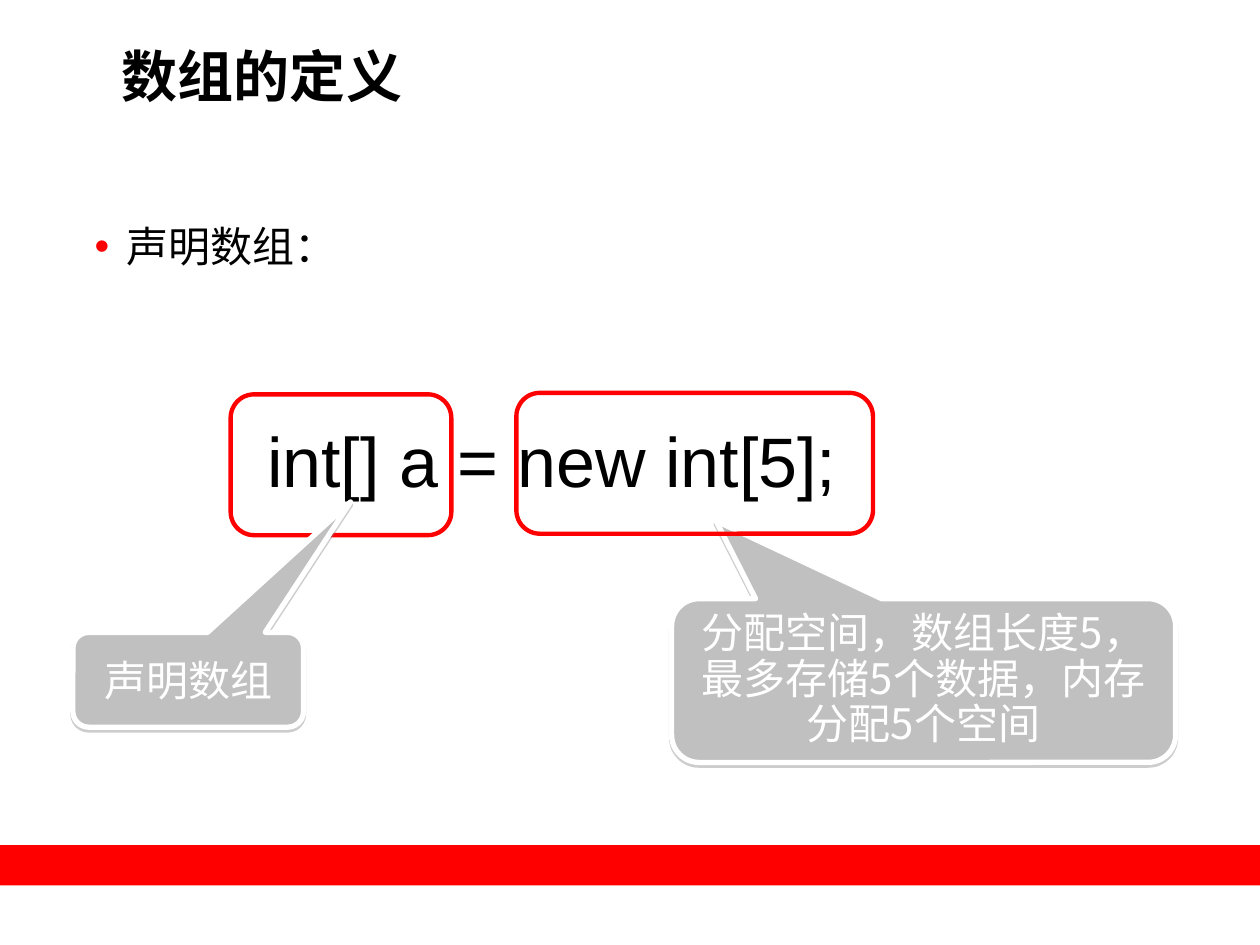
from lxml.etree import SubElement
from pptx import Presentation
from pptx.dml.color import RGBColor
from pptx.enum.shapes import MSO_SHAPE as Preset
from pptx.enum.text import MSO_ANCHOR as Anchor, PP_ALIGN as Align
from pptx.oxml.ns import qn
from pptx.util import Cm, Pt

RED = RGBColor(0xFF, 0x00, 0x00)
BULLET_RED = RGBColor(0xFD, 0x00, 0x00)
BLACK = RGBColor(0x00, 0x00, 0x00)
WHITE = RGBColor(0xFF, 0xFF, 0xFF)
SILVER = RGBColor(0xC0, 0xC0, 0xC0)
SHADOW_GRAY = RGBColor(0x80, 0x80, 0x80)
LATIN, CHINESE = "Arial", "Noto Sans CJK SC"
CORNER = 0.167

FOOTER_BAR = (0, 17.04, 25.4, 0.81)
TITLE = ("数组的定义", (2.46, 0.84, 21.06, 2.62))
TOPIC = ("声明数组：", (1.91, 4.45, 20.93, 12.07))
CODE = ("int[] a = new int[5];", (4.24, 7.95, 13.77, 2.84))
DECLARATION_FRAME = (4.65, 7.95, 4.45, 2.84)
ALLOCATION_FRAME = (10.41, 7.92, 7.19, 2.84)
CALLOUTS = [
    ("声明数组", (1.47, 12.75, 4.65, 1.91), (0.704, -1.878), None),
    ("分配空间，数组长度5，最多存储5个数据，内存分配5个空间",
     (13.54, 12.07, 10.16, 3.3), (-0.412, -0.976), 0.9),
]


def write(holder, text, *, size, font=LATIN, color=BLACK, bold=False, align=Align.LEFT,
          anchor=Anchor.TOP, inset=(0, 0), wrap=True, line=None, before=None, bullet=None):
    frame = holder.text_frame
    frame.word_wrap = wrap
    frame.vertical_anchor = anchor
    frame.margin_left = frame.margin_right = Cm(inset[0])
    frame.margin_top = frame.margin_bottom = Cm(inset[1])
    paragraph = frame.paragraphs[0]
    paragraph.alignment = align
    if line:
        paragraph.line_spacing = line
    if before:
        paragraph.space_before = Pt(before)
    run = paragraph.add_run()
    run.text = text
    run.font.size, run.font.name, run.font.bold = Pt(size), font, bold
    run.font.color.rgb = color
    SubElement(run.font._element, qn("a:ea"), typeface=CHINESE)
    if bullet:
        properties = paragraph._p.get_or_add_pPr()
        properties.set("marL", str(Cm(0.64)))
        properties.set("indent", str(-Cm(0.64)))
        tint = SubElement(properties, qn("a:buClr"))
        SubElement(tint, qn("a:srgbClr"), val=str(BULLET_RED))
        SubElement(properties, qn("a:buFont"), typeface=LATIN)
        SubElement(properties, qn("a:buChar"), char=bullet)


def add_preset(slide, preset, box, fill=None, line=None, width=0):
    shape = slide.shapes.add_shape(preset, *map(Cm, box))
    shape.shadow.inherit = False
    if fill is None:
        shape.fill.background()
    else:
        shape.fill.solid()
        shape.fill.fore_color.rgb = fill
    if line is None:
        shape.line.fill.background()
    else:
        shape.line.color.rgb = line
        shape.line.width = Pt(width)
    return shape


def add_text(slide, item, **style):
    text, box = item
    write(slide.shapes.add_textbox(*map(Cm, box)), text, **style)


def add_frame(slide, box):
    frame = add_preset(slide, Preset.ROUNDED_RECTANGLE, box, line=RED, width=2.5)
    frame.adjustments[0] = CORNER


def add_callout(slide, text, box, tip, spacing):
    callout = add_preset(slide, Preset.ROUNDED_RECTANGULAR_CALLOUT, box, SILVER, WHITE, 3)
    for index, value in enumerate((*tip, CORNER)):
        callout.adjustments[index] = value
    effects = callout._element.spPr.find(qn("a:effectLst"))
    drop = SubElement(effects, qn("a:outerShdw"), blurRad="0", dist=str(Pt(1.6)),
                      dir="5400000", algn="ctr", rotWithShape="0")
    tint = SubElement(drop, qn("a:srgbClr"), val=str(SHADOW_GRAY))
    SubElement(tint, qn("a:alpha"), val="38000")
    write(callout, text, size=24, font=CHINESE, color=WHITE, align=Align.CENTER,
          anchor=Anchor.MIDDLE, inset=(0.25, 0.13), line=spacing)


def main():
    deck = Presentation()
    deck.slide_width, deck.slide_height = Cm(25.4), Cm(19.05)
    slide = deck.slides.add_slide(deck.slide_layouts[6])
    add_preset(slide, Preset.RECTANGLE, FOOTER_BAR, fill=RED)
    add_text(slide, TITLE, size=32, bold=True)
    add_text(slide, TOPIC, size=24, before=6, bullet="•")
    add_text(slide, CODE, size=40, align=Align.CENTER, anchor=Anchor.MIDDLE,
             inset=(0.25, 0.13), wrap=False, line=0.9, before=25)
    add_frame(slide, DECLARATION_FRAME)
    for callout in CALLOUTS:
        add_callout(slide, *callout)
    add_frame(slide, ALLOCATION_FRAME)
    deck.save("out.pptx")


if __name__ == "__main__":
    main()
